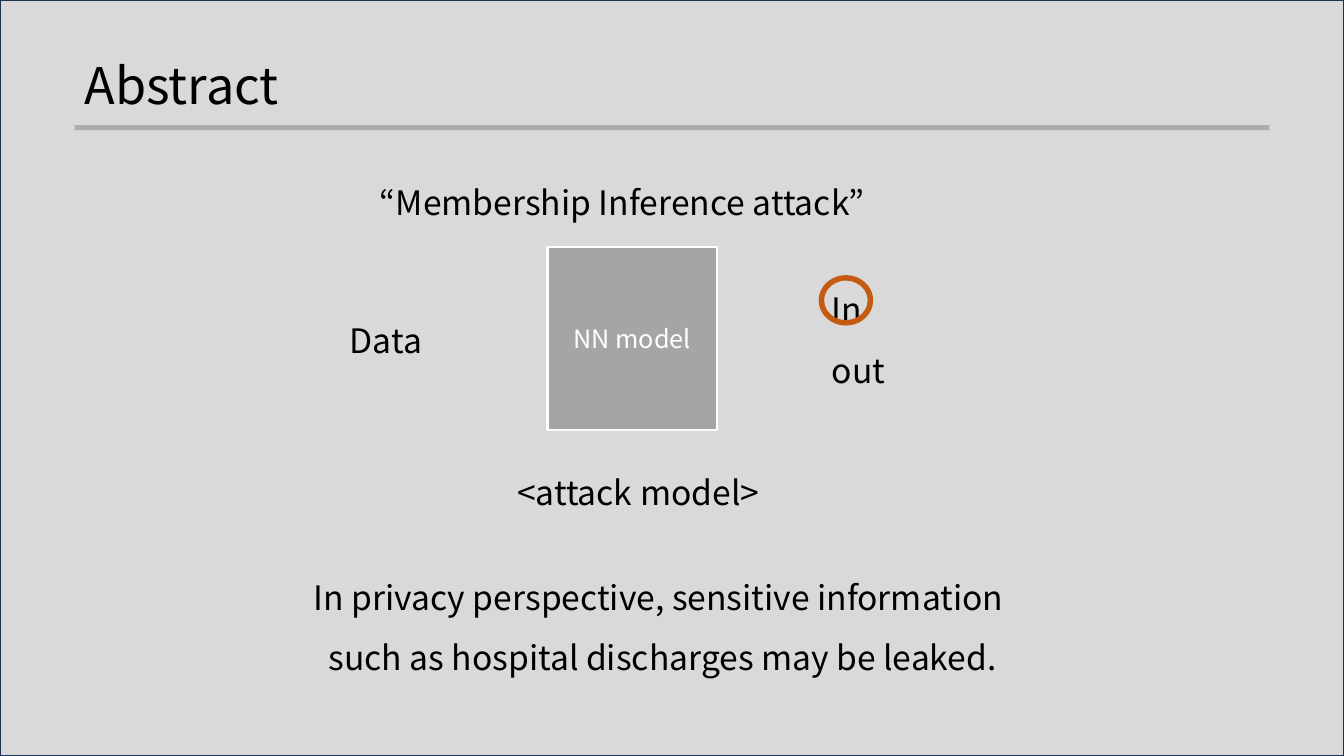
import pptx
import pptx.util
import pptx.dml.color
import pptx.enum.shapes
import pptx.enum.text

Inches, Pt = pptx.util.Inches, pptx.util.Pt
SHAPE = pptx.enum.shapes.MSO_SHAPE
ALIGN = pptx.enum.text.PP_ALIGN
ANCHOR = pptx.enum.text.MSO_ANCHOR


def rgb(value):
    return pptx.dml.color.RGBColor.from_string(value)


class AbstractSlide:
    font = "Noto Sans CJK KR"
    ink = "000000"

    def __init__(self, slide):
        self.s = slide

    def fill_text(self, tf, paragraphs, size, color, align, spacing=None):
        """Fill a frame; each paragraph is a list of lines."""
        for i, lines in enumerate(paragraphs):
            p = tf.paragraphs[0] if i == 0 else tf.add_paragraph()
            p.alignment = align
            p.line_spacing = spacing
            for j, line in enumerate(lines):
                if j:
                    p.add_line_break()
                r = p.add_run()
                r.text = line
                r.font.name = self.font
                r.font.size = Pt(size)
                r.font.color.rgb = rgb(color)

    def text(self, box, *paragraphs, size=24, align=ALIGN.LEFT, spacing=1.5):
        sp = self.s.shapes.add_textbox(*map(Inches, box))
        tf = sp.text_frame
        tf.word_wrap = True
        tf.auto_size = pptx.enum.text.MSO_AUTO_SIZE.SHAPE_TO_FIT_TEXT
        self.fill_text(tf, paragraphs, size, self.ink, align, spacing)

    def shape(self, kind, box, fill, line=None, width=1):
        sp = self.s.shapes.add_shape(kind, *map(Inches, box))
        sp.shadow.inherit = False
        sp.fill.solid()
        sp.fill.fore_color.rgb = rgb(fill)
        if line:
            sp.line.color.rgb = rgb(line)
            sp.line.width = Pt(width)
        else:
            sp.line.fill.background()
        return sp

    def labelled_box(self, box, label, fill, line):
        sp = self.shape(SHAPE.RECTANGLE, box, fill, line, 1.5)
        sp.text_frame.vertical_anchor = ANCHOR.MIDDLE
        self.fill_text(sp.text_frame, [[label]], 18, "FFFFFF", ALIGN.CENTER)

    def ring(self, box, color, thickness):
        sp = self.shape(SHAPE.DONUT, box, color)
        sp.adjustments[0] = thickness


def main():
    prs = pptx.Presentation()
    prs.slide_width, prs.slide_height = Inches(13.33), Inches(7.5)
    page = AbstractSlide(prs.slides.add_slide(prs.slide_layouts[6]))

    page.shape(SHAPE.RECTANGLE, (0, 0, 13.33, 7.5), "D9D9D9", "1E3256")
    page.text((0.74, 0.49, 8.94, 0.71), ["Abstract"], size=36, spacing=None)
    page.shape(SHAPE.RECTANGLE, (0.74, 1.24, 11.85, 0.05), "AFABAB")

    page.text((5.03, 4.43, 2.89, 0.61), ["<attack model>"])
    page.text((3.37, 2.92, 8.61, 0.61), ["Data"])
    page.labelled_box((5.43, 2.45, 1.68, 1.82), "NN model", "A5A5A5", "FFFFFF")
    page.text((8.15, 2.62, 2.89, 1.22), ["In"], ["out"])
    page.ring((8.12, 2.73, 0.54, 0.5), "C55A11", 0.108)

    page.text((3.67, 1.56, 5.62, 0.61), ["“Membership Inference attack”"])
    page.text((0.41, 5.47, 12.32, 1.22),
              ["In privacy perspective, sensitive information ",
               "such as hospital discharges may be leaked."],
              align=ALIGN.CENTER)

    prs.save("out.pptx")


if __name__ == "__main__":
    main()
